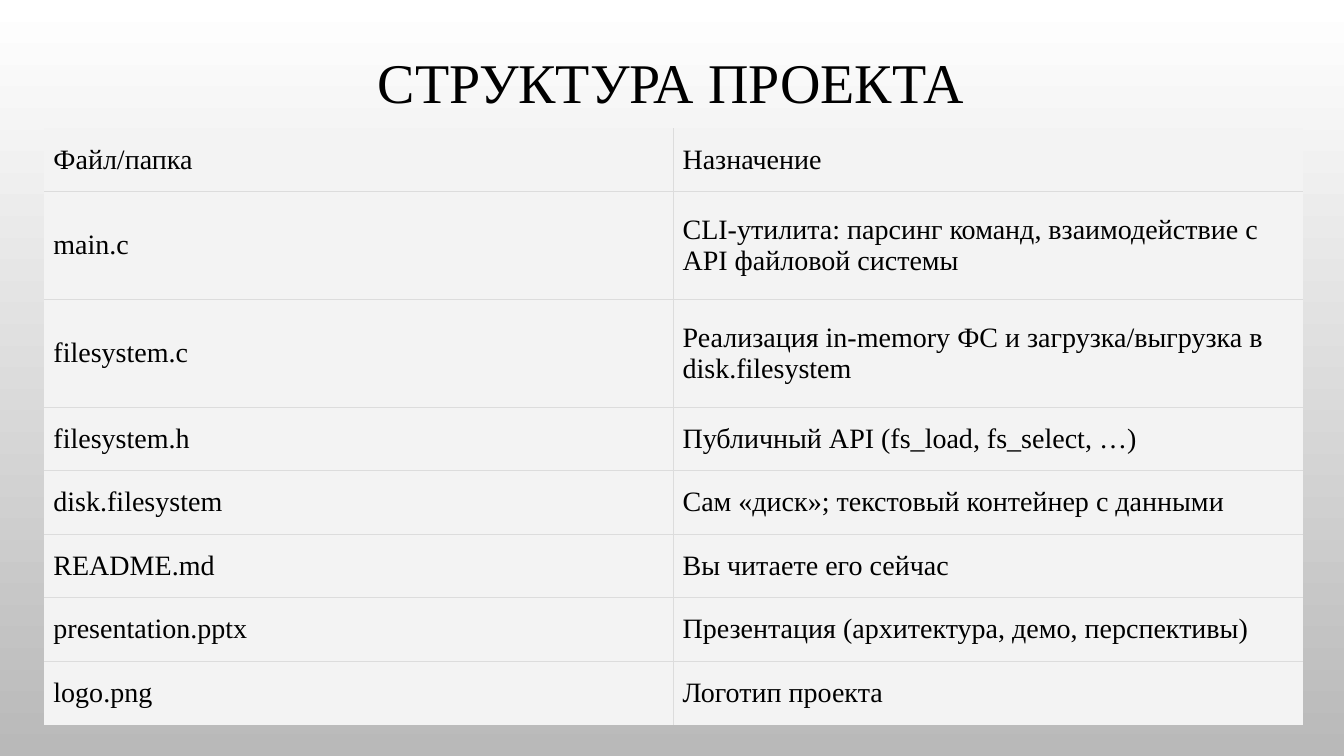
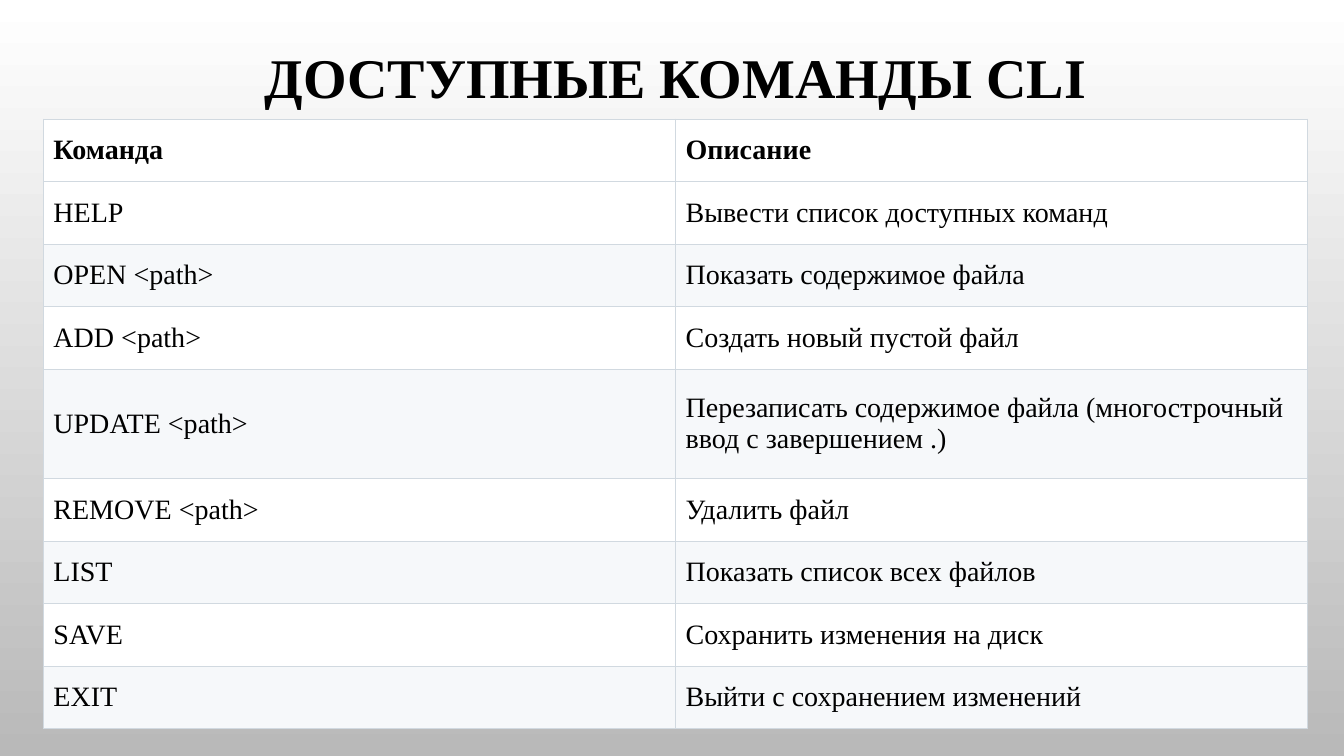
from lxml.etree import SubElement
from pptx import Presentation
from pptx.dml.color import RGBColor
from pptx.enum.text import MSO_ANCHOR, MSO_AUTO_SIZE, PP_ALIGN
from pptx.oxml.ns import qn
from pptx.util import Inches, Pt

FONT = "Times New Roman"
BLACK = RGBColor(0x00, 0x00, 0x00)
WHITE = RGBColor(0xFF, 0xFF, 0xFF)
BACKDROP_GRAY = RGBColor(0xB9, 0xB9, 0xB9)
PANEL_GRAY = RGBColor(0xF3, 0xF3, 0xF3)
RULE_GRAY = RGBColor(0xDC, 0xDC, 0xDC)
BAND_BLUE = RGBColor(0xF6, 0xF8, 0xFA)
RULE_BLUE = RGBColor(0xD1, 0xD9, 0xE0)

SLIDES = [
    {
        "title": "СТРУКТУРА ПРОЕКТА",
        "title_box": (0.42, 0, 12.47, 1.27),
        "bold": False,
        "table_corner": (0.44, 1.27),
        "column_width": 6.24,
        "row_height": 0.63,
        "tall_rows": {1: 1.07, 2: 1.07},
        "margins": (0.09, 0.06),
        "fills": (PANEL_GRAY, PANEL_GRAY),
        "rule": (RULE_GRAY, 0.6),
        "framed": False,
        "rows": [
            ("Файл/папка", "Назначение"),
            ("main.c", "CLI-утилита: парсинг команд, взаимодействие с API файловой системы"),
            ("filesystem.c", "Реализация in-memory ФС и загрузка/выгрузка в disk.filesystem"),
            ("filesystem.h", "Публичный API (fs_load, fs_select, …)"),
            ("disk.filesystem", "Сам «диск»; текстовый контейнер с данными"),
            ("README.md", "Вы читаете его сейчас"),
            ("presentation.pptx", "Презентация (архитектура, демо, перспективы)"),
            ("logo.png", "Логотип проекта"),
        ],
    },
    {
        "title": "ДОСТУПНЫЕ КОМАНДЫ CLI",
        "title_box": (0.43, -0.01, 12.54, 1.19),
        "bold": True,
        "table_corner": (0.43, 1.18),
        "column_width": 6.27,
        "row_height": 0.62,
        "tall_rows": {4: 1.09},
        "margins": (0.1, 0.05),
        "fills": (BAND_BLUE, WHITE),
        "rule": (RULE_BLUE, 0.48),
        "framed": True,
        "rows": [
            ("Команда", "Описание"),
            ("HELP", "Вывести список доступных команд"),
            ("OPEN <path>", "Показать содержимое файла"),
            ("ADD <path>", "Создать новый пустой файл"),
            ("UPDATE <path>", "Перезаписать содержимое файла (многострочный ввод с завершением .)"),
            ("REMOVE <path>", "Удалить файл"),
            ("LIST", "Показать список всех файлов"),
            ("SAVE", "Сохранить изменения на диск"),
            ("EXIT", "Выйти с сохранением изменений"),
        ],
    },
]


def style_font(paragraph, size, bold):
    font = paragraph.font
    font.name = FONT
    font.size = Pt(size)
    font.bold = bold
    font.color.rgb = BLACK


def paint_background(master):
    fill = master.background.fill
    fill.gradient()
    fill.gradient_angle = 270
    for stop, color in zip(fill.gradient_stops, (WHITE, BACKDROP_GRAY)):
        stop.color.rgb = color


def add_title(slide, content):
    title = slide.shapes.title
    title.left, title.top, title.width, title.height = map(Inches, content["title_box"])
    frame = title.text_frame
    frame.text = content["title"]
    frame.auto_size = MSO_AUTO_SIZE.NONE
    frame.vertical_anchor = MSO_ANCHOR.MIDDLE
    paragraph = frame.paragraphs[0]
    paragraph.alignment = PP_ALIGN.CENTER
    paragraph.line_spacing = 1.5
    style_font(paragraph, 40, content["bold"])


def set_borders(cell, sides, rule):
    color, width = rule
    properties = cell._tc.get_or_add_tcPr()
    for side in "LRTB":
        line = SubElement(properties, qn(f"a:ln{side}"), w=str(Pt(width)))
        if side in sides:
            solid = SubElement(line, qn("a:solidFill"))
            SubElement(solid, qn("a:srgbClr"), val=str(color))
        else:
            SubElement(line, qn("a:noFill"))


def fill_cell(cell, text, content, fill, bold, sides):
    set_borders(cell, sides, content["rule"])
    cell.fill.solid()
    cell.fill.fore_color.rgb = fill
    side_margin, end_margin = map(Inches, content["margins"])
    cell.margin_left = cell.margin_right = side_margin
    cell.margin_top = cell.margin_bottom = end_margin
    cell.vertical_anchor = MSO_ANCHOR.MIDDLE
    cell.text = text
    style_font(cell.text_frame.paragraphs[0], 20, bold)


def border_sides(row, column, last_row, last_column, framed):
    inner = {"L": column > 0, "R": column < last_column, "T": row > 0, "B": row < last_row}
    return {side for side, is_inner in inner.items() if is_inner or framed}


def add_content_table(slide, content):
    rows = content["rows"]
    column_count = len(rows[0])
    heights = [content["tall_rows"].get(i, content["row_height"]) for i in range(len(rows))]
    left, top = content["table_corner"]
    width = content["column_width"] * column_count
    table = slide.shapes.add_table(
        len(rows), column_count, *map(Inches, (left, top, width, sum(heights)))
    ).table
    table.first_row = table.horz_banding = False
    for column in table.columns:
        column.width = Inches(content["column_width"])
    for i, (texts, height) in enumerate(zip(rows, heights)):
        table.rows[i].height = Inches(height)
        is_header = i == 0
        fill = content["fills"][1 if is_header else i % 2]
        for j, text in enumerate(texts):
            sides = border_sides(i, j, len(rows) - 1, column_count - 1, content["framed"])
            fill_cell(table.cell(i, j), text, content, fill, is_header and content["bold"], sides)


def main():
    presentation = Presentation()
    presentation.slide_width = Inches(13.33)
    presentation.slide_height = Inches(7.5)
    paint_background(presentation.slide_master)
    title_only = presentation.slide_layouts.get_by_name("Title Only")
    for content in SLIDES:
        slide = presentation.slides.add_slide(title_only)
        add_title(slide, content)
        add_content_table(slide, content)
    presentation.save("out.pptx")


if __name__ == "__main__":
    main()
